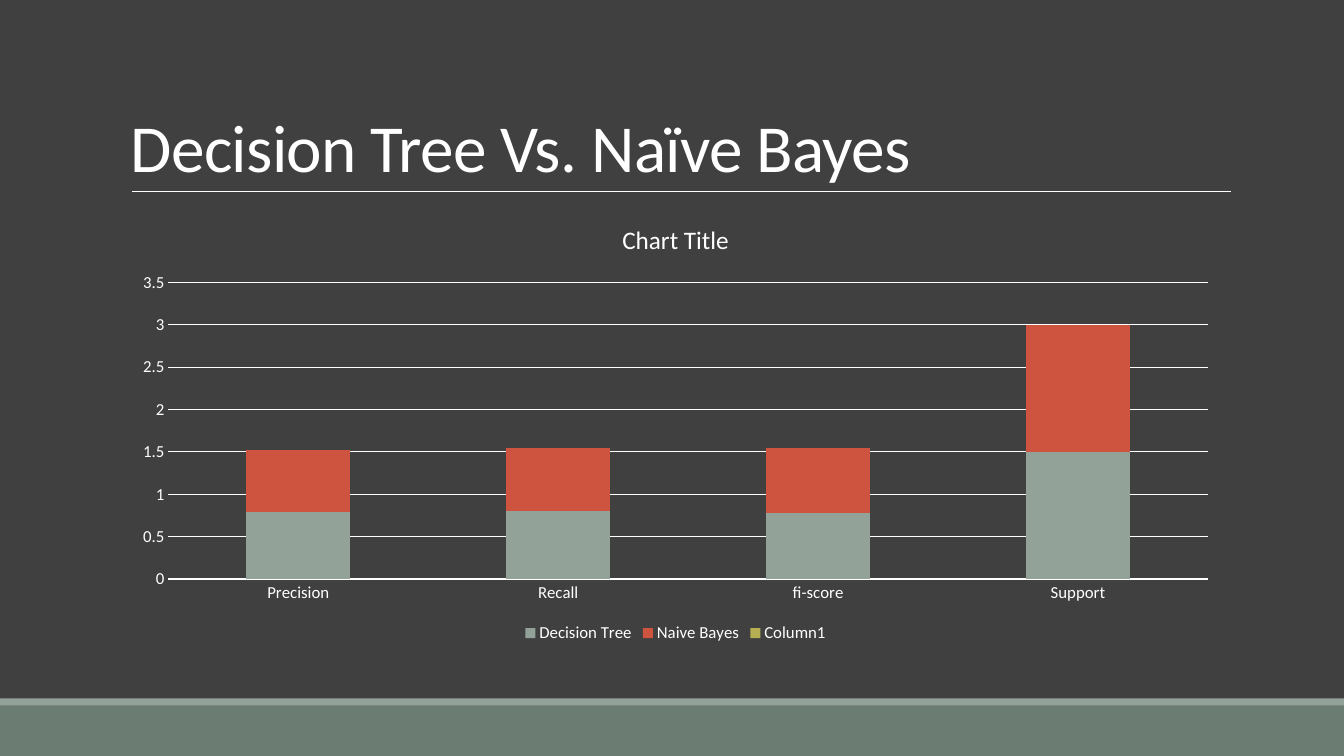
from lxml import etree
from pptx import Presentation
from pptx.chart.data import CategoryChartData
from pptx.dml.color import RGBColor
from pptx.enum.chart import XL_CHART_TYPE as ChartType, XL_LEGEND_POSITION as LegendPosition
from pptx.enum.chart import XL_TICK_MARK as TickMark
from pptx.enum.shapes import MSO_CONNECTOR as Connector, MSO_SHAPE as Shape
from pptx.enum.text import MSO_ANCHOR as Anchor
from pptx.oxml.ns import qn
from pptx.util import Inches, Pt

FONT = "Calibri"
WHITE = "FFFFFF"
SAGE = "93A299"
CATEGORIES = ["Precision", "Recall", "fi-score", "Support"]
SERIES = [
    ("Decision Tree", [0.79, 0.8, 0.78, 1.5], SAGE),
    ("Naive Bayes", [0.73, 0.74, 0.77, 1.5], "CF543F"),
    ("Column1", [None] * 4, "B5AE53"),
]


def color(value):
    return RGBColor.from_string(value)


def fill_solid(fill, value):
    fill.solid()
    fill.fore_color.rgb = color(value)


def style_font(font, size):
    font.name = FONT
    font.size = Pt(size)
    font.bold = False
    font.color.rgb = color(WHITE)


def style_line(line, width):
    line.color.rgb = color(WHITE)
    line.width = Pt(width)


def add_band(slide, top, height, value):
    band = slide.shapes.add_shape(Shape.RECTANGLE, 0, Inches(top), Inches(13.33), Inches(height))
    band.shadow.inherit = False
    fill_solid(band.fill, value)
    band.line.fill.background()


def add_rule(slide, left, right, top):
    rule = slide.shapes.add_connector(
        Connector.STRAIGHT, Inches(left), Inches(top), Inches(right), Inches(top))
    style_line(rule.line, 0.5)
    etree.SubElement(rule._element.spPr, qn("a:effectLst"))


def add_title(slide, text):
    box = slide.shapes.add_textbox(Inches(1.2), Inches(0.31), Inches(11), Inches(1.59))
    text_frame = box.text_frame
    text_frame.word_wrap = True
    text_frame.vertical_anchor = Anchor.BOTTOM
    text_frame.text = text
    paragraph = text_frame.paragraphs[0]
    paragraph.line_spacing = 0.85
    run = paragraph.runs[0]
    style_font(run.font, 48)
    run._r.get_or_add_rPr().set("spc", "-50")


def style_axes(chart):
    for axis in (chart.category_axis, chart.value_axis):
        axis.major_tick_mark = TickMark.NONE
        axis.minor_tick_mark = TickMark.NONE
        style_font(axis.tick_labels.font, 12)
    style_line(chart.category_axis.format.line, 0.75)
    value_axis = chart.value_axis
    value_axis.minimum_scale = 0
    value_axis.maximum_scale = 3.5
    value_axis.major_unit = 0.5
    value_axis.format.line.fill.background()
    value_axis.has_major_gridlines = True
    style_line(value_axis.major_gridlines.format.line, 0.75)


def add_score_chart(slide):
    data = CategoryChartData()
    data.categories = CATEGORIES
    for name, values, _ in SERIES:
        data.add_series(name, values)
    chart = slide.shapes.add_chart(
        ChartType.COLUMN_STACKED, Inches(1.2), Inches(2.02), Inches(11), Inches(4.4), data).chart
    style_font(chart.font, 10)
    chart.has_title = True
    chart.chart_title.include_in_layout = False
    title_frame = chart.chart_title.text_frame
    title_frame.text = "Chart Title"
    style_font(title_frame.paragraphs[0].runs[0].font, 18)
    style_axes(chart)
    chart.has_legend = True
    chart.legend.position = LegendPosition.BOTTOM
    chart.legend.include_in_layout = False
    style_font(chart.legend.font, 12)
    plot = chart.plots[0]
    plot.vary_by_categories = False
    plot.gap_width = 150
    plot.overlap = 100
    for series, (_, _, value) in zip(plot.series, SERIES):
        fill_solid(series.format.fill, value)


def main():
    presentation = Presentation()
    presentation.slide_width = Inches(13.33)
    presentation.slide_height = Inches(7.5)
    slide = presentation.slides.add_slide(presentation.slide_layouts[6])
    fill_solid(slide.background.fill, "404040")
    add_band(slide, 7, 0.5, "6B7D72")
    add_band(slide, 6.93, 0.07, SAGE)
    add_rule(slide, 1.31, 12.21, 1.9)
    add_title(slide, "Decision Tree Vs. Naïve Bayes")
    add_score_chart(slide)
    presentation.save("out.pptx")


if __name__ == "__main__":
    main()
